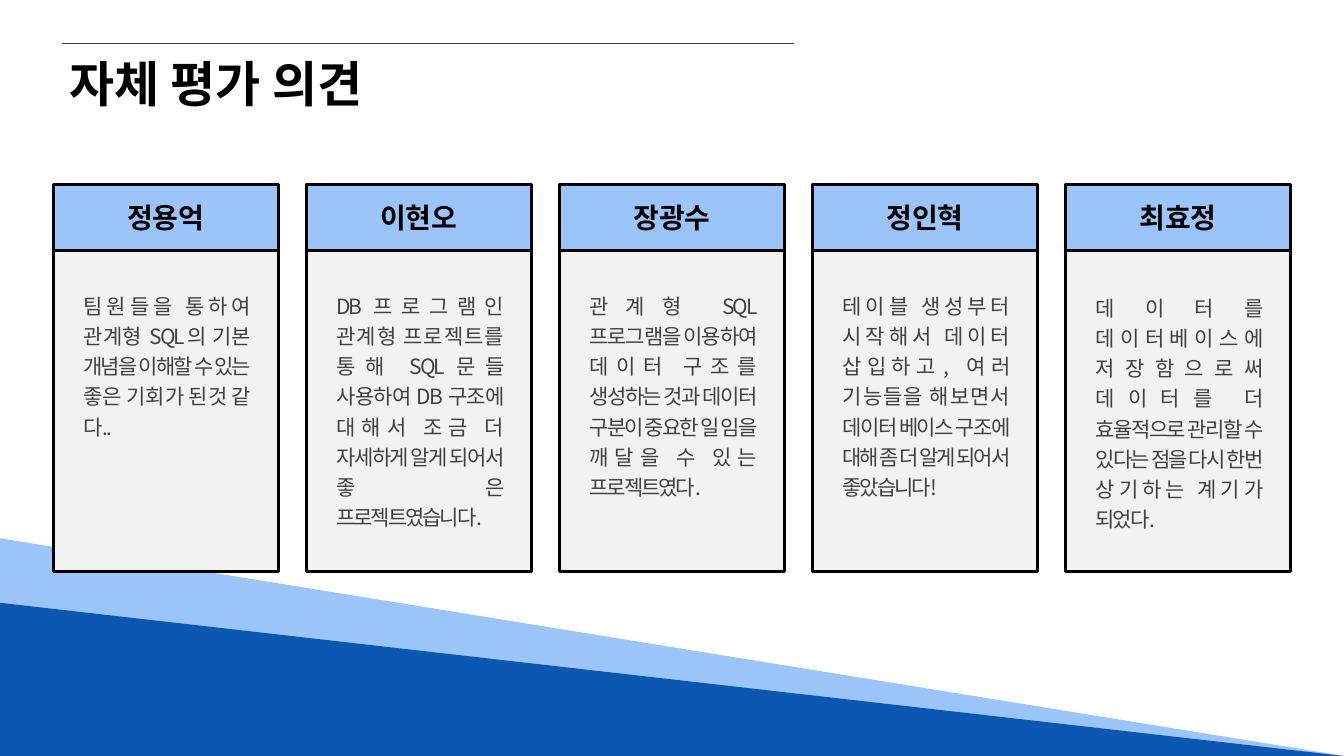
import pptx
import pptx.util
from lxml import etree
from pptx.dml.color import RGBColor
from pptx.enum.shapes import MSO_CONNECTOR, MSO_SHAPE
from pptx.enum.text import MSO_ANCHOR, MSO_AUTO_SIZE, PP_ALIGN
from pptx.oxml.ns import qn
from pptx.util import Inches

# Content
TITLE = "자체 평가 의견"
OPINIONS = [
    # member, opinion, top of the opinion, its height
    ("정용억", "팀원들을 통하여 관계형 SQL의 기본 개념을 이해할 수 있는 좋은 기회가 된것 같다..", 2.81, 1.62),
    ("이현오", "DB프로그램인 관계형 프로젝트를 통해 SQL문들 사용하여 DB 구조에 대해서 조금 더 "
            "자세하게 알게 되어서 좋은 프로젝트였습니다.", 2.81, 2.22),
    ("장광수", "관계형 SQL 프로그램을 이용하여 데이터 구조를 생성하는 것과 데이터 구분이 중요한 일 "
            "임을 깨달을 수 있는 프로젝트였다.", 2.81, 2.2),
    ("정인혁", "테이블 생성부터 시작해서 데이터 삽입하고, 여러 기능들을 해보면서 데이터 베이스 구조에 "
            "대해 좀 더 알게 되어서 좋았습니다!", 2.81, 2.2),
    ("최효정", "데이터를 데이터베이스에 저장함으로써 데이터를 더 효율적으로 관리할 수 있다는 점을 다시 "
            "한번 상기하는 계기가 되었다.", 2.83, 2.19),
]

# Colours and text formats
BLACK = RGBColor(0x00, 0x00, 0x00)
DARK_GREY = RGBColor(0x40, 0x40, 0x40)
LIGHT_GREY = RGBColor(0xF2, 0xF2, 0xF2)
LIGHT_BLUE = RGBColor(0x9B, 0xC5, 0xF9)
DEEP_BLUE = RGBColor(0x0B, 0x57, 0xB2)

FONT = "Noto Sans CJK KR"
TITLE_FONT = {"size": pptx.util.Pt(35), "bold": True, "name": FONT}
MEMBER_FONT = {"size": pptx.util.Pt(20), "bold": True, "name": FONT}
OPINION_FONT = {"size": pptx.util.Pt(15), "bold": False, "name": FONT}

# Layout in inches
WIDTH, HEIGHT = 13.33, 7.5
CARD_LEFT, CARD_TOP, CARD_STEP = 0.53, 1.83, 2.51
CARD_WIDTH, CARD_HEIGHT, HEADER_HEIGHT = 2.23, 3.84, 0.66
OPINION_INDENT, OPINION_WIDTH = 0.2, 1.84


def write(frame, text, font, color, align, spacing=None):
    paragraph = frame.paragraphs[0]
    paragraph.alignment = align
    run = paragraph.add_run()
    run.text = text
    for attribute, value in font.items():
        setattr(run.font, attribute, value)
    run.font.color.rgb = color
    properties = run.font._element
    etree.SubElement(properties, qn("a:ea")).set("typeface", FONT)
    if spacing is not None:
        properties.set("spc", str(spacing))
    return paragraph


def add_block(preset, left, top, width, height, fill, outlined=False):
    block = slide.shapes.add_shape(
        preset, Inches(left), Inches(top), Inches(width), Inches(height))
    block.shadow.inherit = False
    block.fill.solid()
    block.fill.fore_color.rgb = fill
    if outlined:
        block.line.color.rgb = BLACK
        block.line.width = pptx.util.Pt(2.25)
    else:
        block.line.fill.background()
    return block


def add_text_frame(left, top, width, height, wrap):
    frame = slide.shapes.add_textbox(
        Inches(left), Inches(top), Inches(width), Inches(height)).text_frame
    frame.word_wrap = wrap
    frame.auto_size = MSO_AUTO_SIZE.SHAPE_TO_FIT_TEXT
    return frame


presentation = pptx.Presentation()
presentation.slide_width = Inches(WIDTH)
presentation.slide_height = Inches(HEIGHT)
slide = presentation.slides.add_slide(presentation.slide_layouts[6])

# Blue slopes along the bottom
for slope_top, slope_color in ((5.34, LIGHT_BLUE), (5.98, DEEP_BLUE)):
    add_block(MSO_SHAPE.RIGHT_TRIANGLE, 0, slope_top, WIDTH, HEIGHT - slope_top, slope_color)

# Title with the rule above it
rule = slide.shapes.add_connector(
    MSO_CONNECTOR.STRAIGHT, Inches(0.62), Inches(0.43), Inches(7.88), Inches(0.43))
rule.line.color.rgb = DARK_GREY
rule.line.width = pptx.util.Pt(0.5)
etree.SubElement(rule._element.spPr, qn("a:effectLst"))
write(add_text_frame(0.59, 0.48, 3.24, 0.69, False), TITLE, TITLE_FONT, BLACK, PP_ALIGN.LEFT)

# One card per member
for column, (member, opinion, opinion_top, opinion_height) in enumerate(OPINIONS):
    left = CARD_LEFT + column * CARD_STEP
    add_block(MSO_SHAPE.RECTANGLE, left, CARD_TOP, CARD_WIDTH, CARD_HEIGHT, LIGHT_GREY, True)
    header = add_block(
        MSO_SHAPE.RECTANGLE, left, CARD_TOP, CARD_WIDTH, HEADER_HEIGHT, LIGHT_BLUE, True)
    header.text_frame.vertical_anchor = MSO_ANCHOR.MIDDLE
    write(header.text_frame, member, MEMBER_FONT, BLACK, PP_ALIGN.CENTER)

    opinion_frame = add_text_frame(
        left + OPINION_INDENT, opinion_top, OPINION_WIDTH, opinion_height, True)
    paragraph = write(
        opinion_frame, opinion, OPINION_FONT, DARK_GREY, PP_ALIGN.JUSTIFY, spacing=-150)
    paragraph.line_spacing = 1.2

presentation.save("out.pptx")
